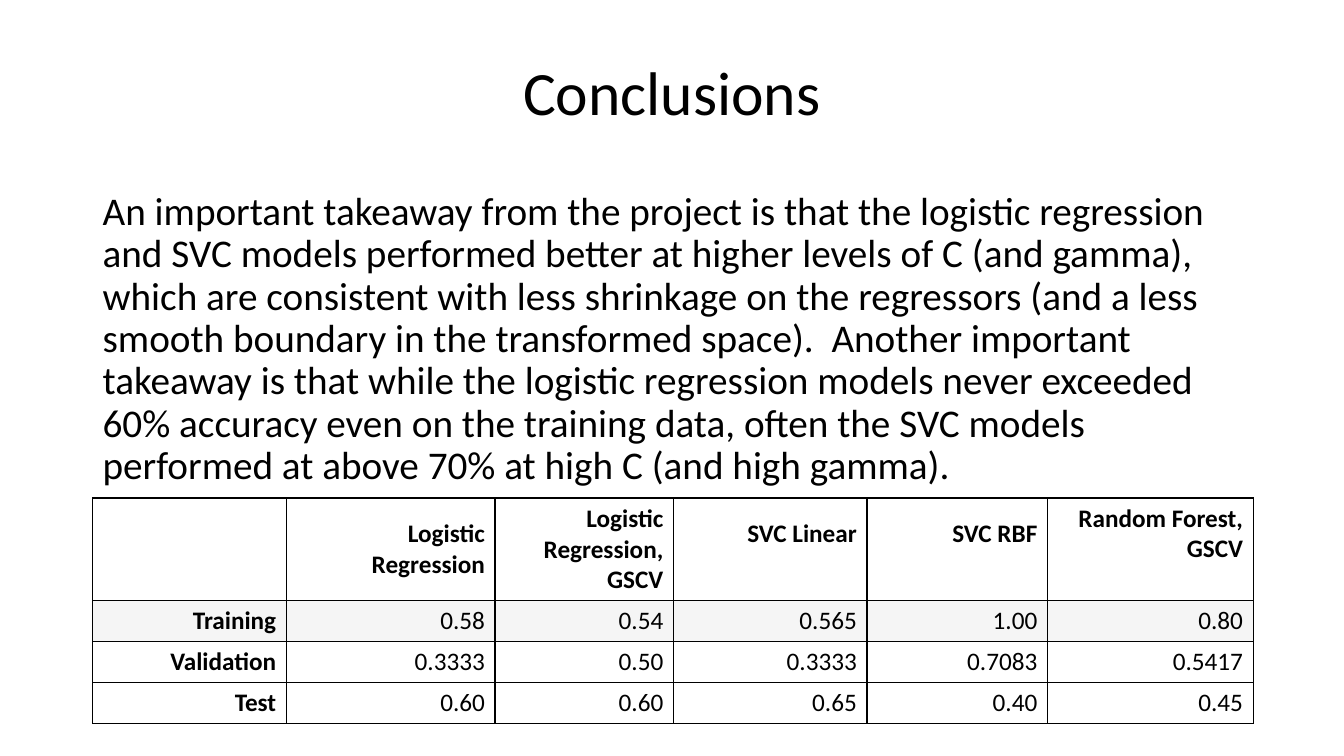
from dataclasses import dataclass

from lxml import etree
from pptx import Presentation
from pptx.dml.color import RGBColor
from pptx.enum.text import MSO_ANCHOR, MSO_AUTO_SIZE, PP_ALIGN
from pptx.oxml.ns import qn
from pptx.util import Inches, Pt

LEFT, CENTER, RIGHT = PP_ALIGN.LEFT, PP_ALIGN.CENTER, PP_ALIGN.RIGHT
TOP, MIDDLE = MSO_ANCHOR.TOP, MSO_ANCHOR.MIDDLE
NO_FIT = MSO_AUTO_SIZE.NONE
TITLE_ONLY = 5


@dataclass(frozen=True)
class Theme:
    font: str = "Calibri"
    ink: str = "000000"
    paper: str = "FFFFFF"
    band: str = "F5F5F5"
    title: int = 44
    body: int = 28
    cell: int = 18
    border: int = 1


THEME = Theme()
WIDTH, HEIGHT = 13.33, 7.5
MARGIN = 0.92
CONTENT = WIDTH - 2 * MARGIN
COLUMNS = (1.92, 2.07, 1.77, 1.92, 1.79, 2.04)
HEADER_HEIGHT, ROW_HEIGHT = 1.02, 0.4
RAISED_MARGIN = 0.35

TAKEAWAY = (
    "An important takeaway from the project is that the logistic regression and SVC models "
    "performed better at higher levels of C (and gamma), which are consistent with less "
    "shrinkage on the regressors (and a less smooth boundary in the transformed space).  "
    "Another important takeaway is that while the logistic regression models never exceeded "
    "60% accuracy even on the training data, often the SVC models performed at above 70% "
    "at high C (and high gamma)."
)
SCORES = (
    ("", "Logistic Regression", "Logistic Regression, GSCV", "SVC Linear", "SVC RBF",
     "Random Forest, GSCV"),
    ("Training", "0.58", "0.54", "0.565", "1.00", "0.80"),
    ("Validation", "0.3333", "0.50", "0.3333", "0.7083", "0.5417"),
    ("Test", "0.60", "0.60", "0.65", "0.40", "0.45"),
)
RAISED = ("SVC Linear", "SVC RBF")
TOP_ALIGNED = ("Random Forest, GSCV",)


def place(shape, top, height):
    shape.left, shape.top = Inches(MARGIN), Inches(top)
    shape.width, shape.height = Inches(CONTENT), Inches(height)


def write(frame, text, size, align, bold=False):
    para = frame.paragraphs[0]
    para.alignment = align
    span = para.add_run()
    span.text = text
    span.font.name = THEME.font
    span.font.size = Pt(size)
    span.font.bold = bold
    span.font.color.rgb = RGBColor.from_string(THEME.ink)
    return para


def add_title(page, text):
    title = page.shapes.title
    place(title, 0.4, 1.09)
    frame = title.text_frame
    frame.auto_size = NO_FIT
    frame.vertical_anchor = MIDDLE
    write(frame, text, THEME.title, CENTER).line_spacing = 0.9


def add_body(page, text):
    box = page.shapes.add_textbox(0, 0, 0, 0)
    place(box, 1.85, 3.09)
    frame = box.text_frame
    frame.word_wrap = True
    frame.auto_size = NO_FIT
    para = write(frame, text, THEME.body, LEFT)
    para.line_spacing = 0.9
    para.space_before = Pt(10)


def outline(cell):
    properties = cell._tc.get_or_add_tcPr()
    for position, side in enumerate(("lnL", "lnR", "lnT", "lnB")):
        line = etree.Element(qn(f"a:{side}"), w=str(Pt(THEME.border)))
        fill = etree.SubElement(line, qn("a:solidFill"))
        etree.SubElement(fill, qn("a:srgbClr"), val=THEME.ink)
        properties.insert(position, line)


def fill_cell(cell, text, color, bold):
    cell.fill.solid()
    cell.fill.fore_color.rgb = RGBColor.from_string(color)
    outline(cell)
    cell.vertical_anchor = TOP if text in TOP_ALIGNED else MIDDLE
    if text in RAISED:
        cell.margin_bottom = Inches(RAISED_MARGIN)
    if text:
        write(cell.text_frame, text, THEME.cell, RIGHT, bold)


def add_scores(page, rows):
    heights = [HEADER_HEIGHT] + [ROW_HEIGHT] * (len(rows) - 1)
    frame = page.shapes.add_table(len(rows), len(COLUMNS), Inches(MARGIN), Inches(4.94),
                                  Inches(sum(COLUMNS)), Inches(sum(heights)))
    table = frame.table
    table.first_row = table.horz_banding = False
    for column, width in zip(table.columns, COLUMNS):
        column.width = Inches(width)
    for row, height in zip(table.rows, heights):
        row.height = Inches(height)
    for r, values in enumerate(rows):
        color = THEME.band if r == 1 else THEME.paper
        for c, text in enumerate(values):
            fill_cell(table.cell(r, c), text, color, r == 0 or c == 0)


def main():
    deck = Presentation()
    deck.slide_width, deck.slide_height = Inches(WIDTH), Inches(HEIGHT)
    page = deck.slides.add_slide(deck.slide_layouts[TITLE_ONLY])
    add_title(page, "Conclusions")
    add_body(page, TAKEAWAY)
    add_scores(page, SCORES)
    deck.save("out.pptx")


if __name__ == "__main__":
    main()
